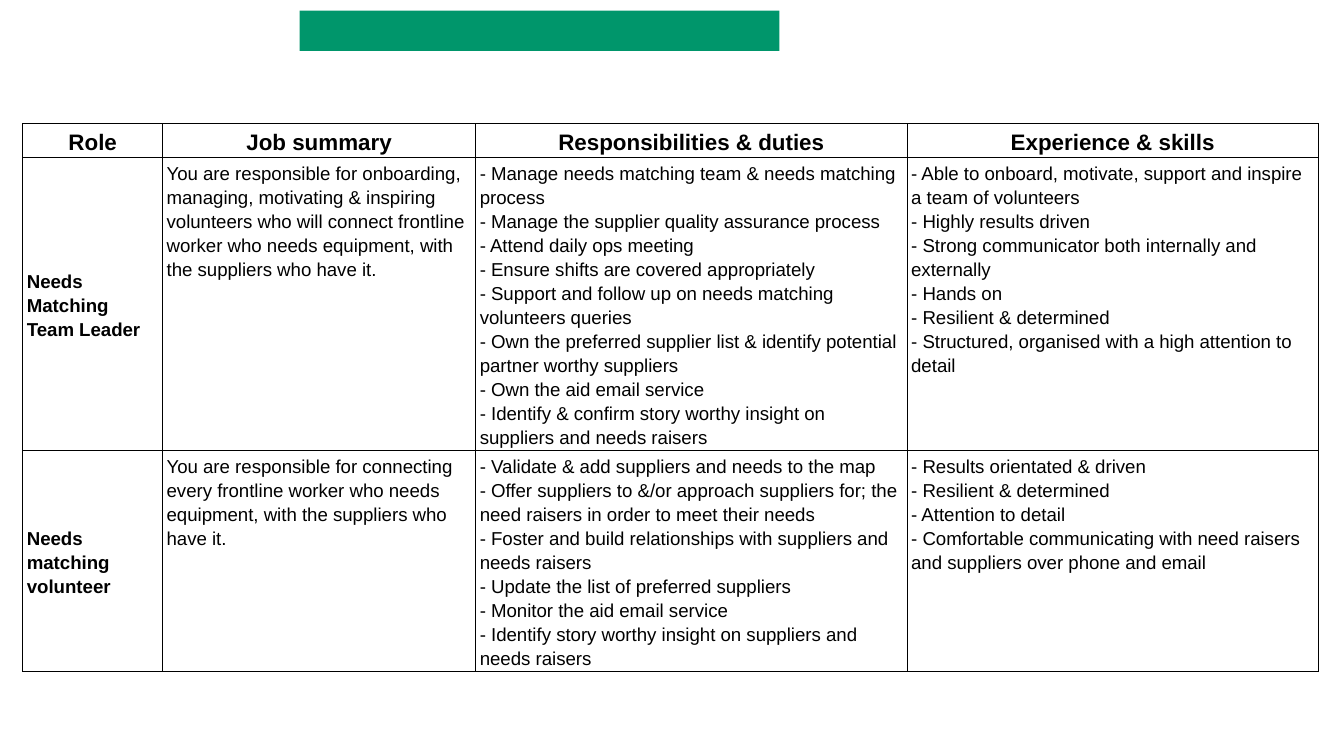
import dataclasses

import lxml.etree
import pptx
import pptx.dml.color
import pptx.enum.shapes
import pptx.enum.text
import pptx.oxml.ns
import pptx.util

Inches = pptx.util.Inches
Pt = pptx.util.Pt
RGB = pptx.dml.color.RGBColor
ALIGN = pptx.enum.text.PP_ALIGN
ANCHOR = pptx.enum.text.MSO_ANCHOR


@dataclasses.dataclass(frozen=True)
class Theme:
    font: str = "Arial"
    ink: str = "000000"
    paper: str = "FFFFFF"
    accent: str = "00966B"
    heading_size: int = 12
    body_size: int = 10
    line_spacing: float = 1.15
    border_width: float = 0.75


THEME = Theme()

PAGE_WIDTH = 10
PAGE_HEIGHT = PAGE_WIDTH * 9 / 16
COLUMN_WIDTHS = [1.04, 2.33, 3.21, 3.06]
ROW_HEIGHTS = [0.25, 1.61, 1.3]
HEADINGS = ["Role", "Job summary", "Responsibilities & duties", "Experience & skills"]

# Each role: title, summary, duties, skills
ROLES = [
    (
        "Needs Matching Team Leader",
        "You are responsible for onboarding, managing, motivating & inspiring volunteers "
        "who will connect frontline worker who needs equipment, with the suppliers who have it.",
        [
            "Manage needs matching team & needs matching process",
            "Manage the supplier quality assurance process",
            "Attend daily ops meeting",
            "Ensure shifts are covered appropriately",
            "Support and follow up on needs matching volunteers queries",
            "Own the preferred supplier list & identify potential partner worthy suppliers",
            "Own the aid email service",
            "Identify & confirm story worthy insight on suppliers and needs raisers",
        ],
        [
            "Able to onboard, motivate, support and inspire a team of volunteers",
            "Highly results driven",
            "Strong communicator both internally and externally",
            "Hands on",
            "Resilient & determined",
            "Structured, organised with a high attention to detail",
        ],
    ),
    (
        "Needs matching volunteer",
        "You are responsible for connecting every frontline worker who needs equipment, "
        "with the suppliers who have it.",
        [
            "Validate & add suppliers and needs to the map",
            "Offer suppliers to &/or approach suppliers for; the need raisers "
            "in order to meet their needs",
            "Foster and build relationships with suppliers and needs raisers",
            "Update the list of preferred suppliers",
            "Monitor the aid email service",
            "Identify story worthy insight on suppliers and needs raisers",
        ],
        [
            "Results orientated & driven",
            "Resilient & determined",
            "Attention to detail",
            "Comfortable communicating with need raisers and suppliers over phone and email",
        ],
    ),
]


def set_borders(cell):
    """Draw a thin line on all four sides of a cell."""
    properties = cell._tc.get_or_add_tcPr()
    qn = pptx.oxml.ns.qn
    for index, side in enumerate(("a:lnL", "a:lnR", "a:lnT", "a:lnB")):
        line = lxml.etree.Element(qn(side), w=str(Pt(THEME.border_width)))
        fill = lxml.etree.SubElement(line, qn("a:solidFill"))
        lxml.etree.SubElement(fill, qn("a:srgbClr"), val=THEME.ink)
        properties.insert(index, line)


def fill_cell(cell, lines, size=THEME.body_size, bold=False,
              align=ALIGN.LEFT, anchor=ANCHOR.TOP):
    cell.margin_left = cell.margin_right = Inches(0.03)
    cell.margin_top = cell.margin_bottom = Inches(0.02)
    cell.vertical_anchor = anchor
    cell.fill.solid()
    cell.fill.fore_color.rgb = RGB.from_string(THEME.paper)
    set_borders(cell)
    cell.text_frame.text = "\n".join(lines)
    for para in cell.text_frame.paragraphs:
        para.alignment = align
        para.line_spacing = THEME.line_spacing
        for span in para.runs:
            span.font.name = THEME.font
            span.font.size = Pt(size)
            span.font.bold = bold
            span.font.color.rgb = RGB.from_string(THEME.ink)


def add_banner(page, left, top, width, height):
    banner = page.shapes.add_shape(
        pptx.enum.shapes.MSO_SHAPE.RECTANGLE,
        Inches(left), Inches(top), Inches(width), Inches(height))
    banner.shadow.inherit = False
    banner.fill.solid()
    banner.fill.fore_color.rgb = RGB.from_string(THEME.accent)
    banner.line.fill.background()


def add_roles_table(page, left, top):
    frame = page.shapes.add_table(
        len(ROW_HEIGHTS), len(COLUMN_WIDTHS), Inches(left), Inches(top),
        Inches(sum(COLUMN_WIDTHS)), Inches(sum(ROW_HEIGHTS)))
    table = frame.table
    table.first_row = table.horz_banding = False
    for column, width in zip(table.columns, COLUMN_WIDTHS):
        column.width = Inches(width)
    for row, height in zip(table.rows, ROW_HEIGHTS):
        row.height = Inches(height)

    # Heading row
    for index, heading in enumerate(HEADINGS):
        fill_cell(table.cell(0, index), [heading], THEME.heading_size, True, ALIGN.CENTER)

    # One row for each role
    for row, (title, summary, duties, skills) in enumerate(ROLES, start=1):
        fill_cell(table.cell(row, 0), [title], bold=True, anchor=ANCHOR.MIDDLE)
        fill_cell(table.cell(row, 1), [summary])
        for column, items in ((2, duties), (3, skills)):
            fill_cell(table.cell(row, column), [f"- {item}" for item in items])


def main():
    deck = pptx.Presentation()
    deck.slide_width, deck.slide_height = Inches(PAGE_WIDTH), Inches(PAGE_HEIGHT)
    page = deck.slides.add_slide(deck.slide_layouts[6])
    add_banner(page, 2.23, 0.08, 3.57, 0.3)
    add_roles_table(page, 0.17, 0.92)
    deck.save("out.pptx")


if __name__ == "__main__":
    main()
